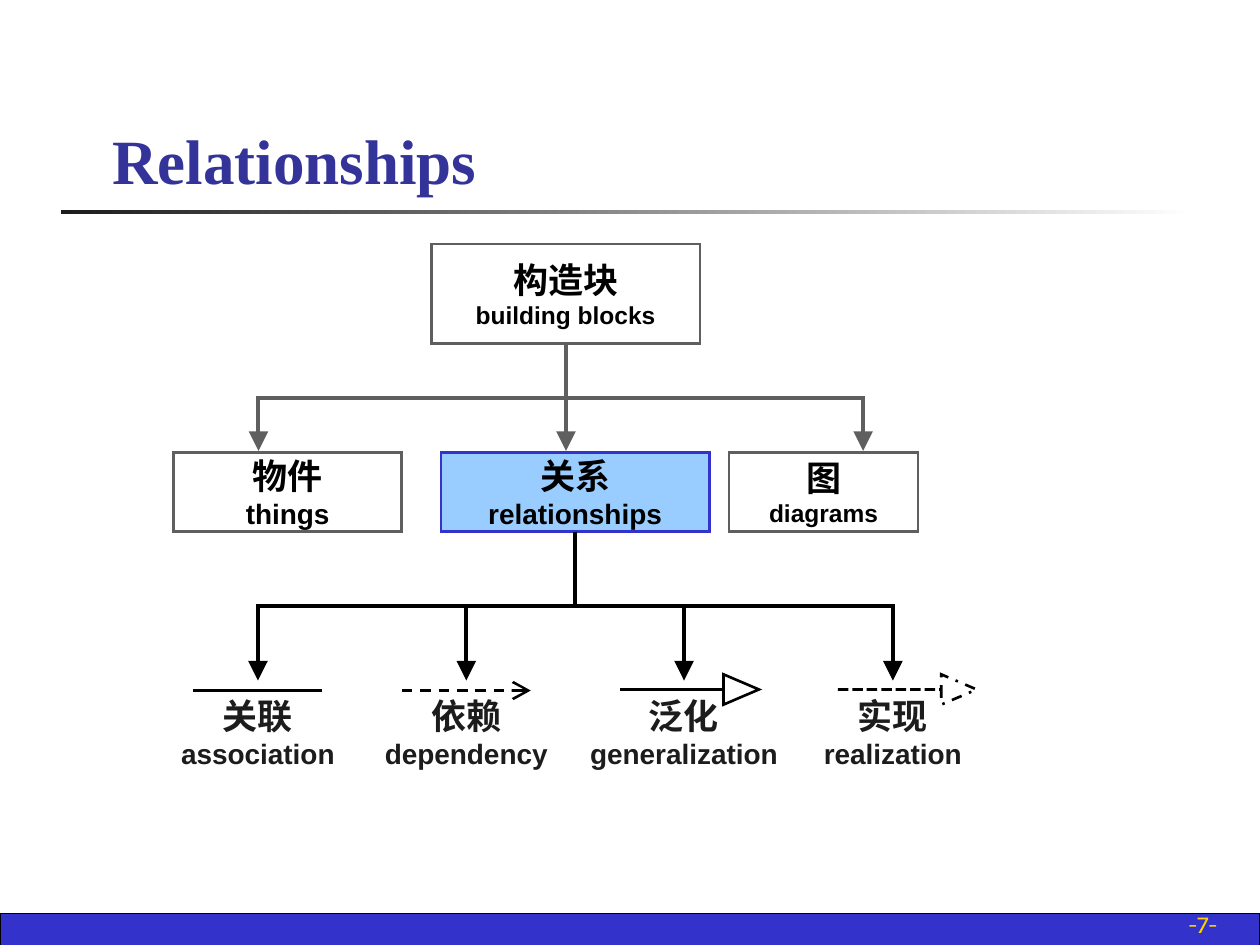
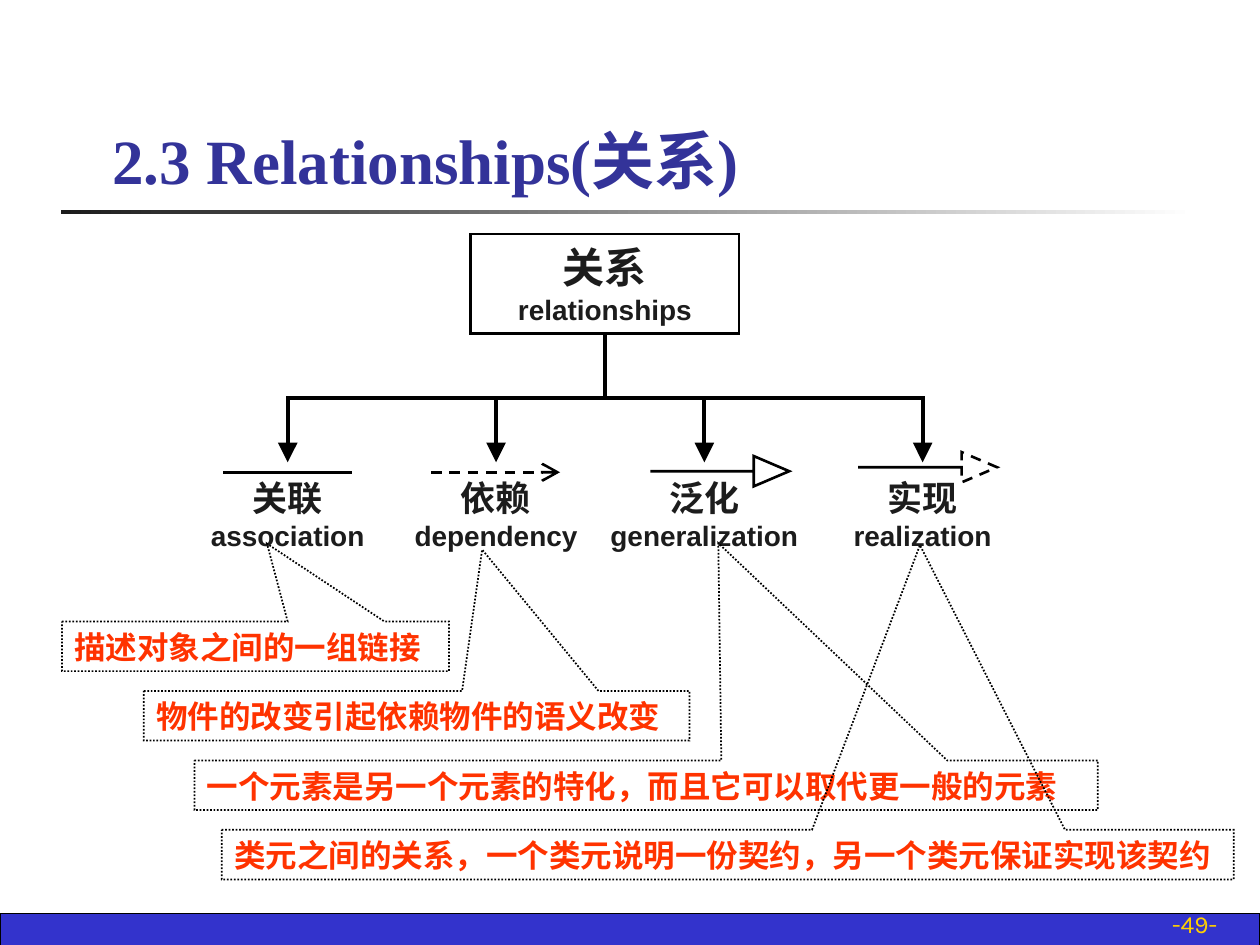
from dataclasses import dataclass
from enum import Enum
from typing import NamedTuple, Optional

from lxml import etree
from pptx import Presentation
from pptx import util as u
from pptx.dml.color import RGBColor
from pptx.enum import dml, shapes, text
from pptx.oxml import ns

BLACK = RGBColor(0x00, 0x00, 0x00)
INK = RGBColor(0x1C, 0x1C, 0x1C)
WHITE = RGBColor(0xFF, 0xFF, 0xFF)
GREY = RGBColor(0x5F, 0x5F, 0x5F)
BLUE = RGBColor(0x33, 0x33, 0xCC)
SKY = RGBColor(0x99, 0xCC, 0xFF)
TITLE_BLUE = RGBColor(0x33, 0x33, 0x99)
GOLD = RGBColor(0xFF, 0xCF, 0x01)
RED = RGBColor(0xFF, 0x33, 0x00)

CENTRE = text.PP_ALIGN.CENTER
DASH = dml.MSO_LINE.DASH
LINE_LENGTH = 2.6
ARROW_LENGTH = 2.8
ARROW_HEIGHT = 0.61
LABEL_WIDTH = 4.6


class Symbol(Enum):
    LINE = 1
    OPEN_ARROW = 2
    HOLLOW_ARROW = 3
    DASHED_HOLLOW_ARROW = 4


class Point(NamedTuple):
    x: float
    y: float


class Area(NamedTuple):
    left: float
    top: float
    width: float
    height: float


class Relation(NamedTuple):
    chinese: str
    english: str
    symbol: Symbol


class Branch(NamedTuple):
    centre: float
    symbol_left: float
    symbol_y: float


class Callout(NamedTuple):
    words: str
    left: float
    width: float
    pointer: tuple[float, float]


@dataclass(frozen=True)
class Block:
    chinese: str
    english: str
    area: Area
    outline: RGBColor = GREY
    fill: Optional[RGBColor] = None
    ink: RGBColor = BLACK
    chinese_size: int = 20
    english_size: int = 16


RELATIONS = [
    Relation("关联", "association", Symbol.LINE),
    Relation("依赖", "dependency", Symbol.OPEN_ARROW),
    Relation("泛化", "generalization", Symbol.HOLLOW_ARROW),
    Relation("实现", "realization", Symbol.DASHED_HOLLOW_ARROW),
]

BUILDING_BLOCKS = [
    Block("构造块", "building blocks", Area(8.7, 4.92, 5.41, 2.01), english_size=14),
    Block("物件", "things", Area(3.5, 9.12, 4.6, 1.6)),
    Block("关系", "relationships", Area(8.89, 9.12, 5.41, 1.6), BLUE, SKY),
    Block("图", "diagrams", Area(14.7, 9.12, 3.81, 1.6), english_size=14),
]
RELATIONSHIPS = Block("关系", "relationships", Area(9.49, 4.72, 5.41, 2.01),
                      BLACK, ink=INK, chinese_size=24)

OVERVIEW_BRANCHES = [
    Branch(5.2, 3.89, 13.92),
    Branch(9.4, 8.1, 13.92),
    Branch(13.79, 12.5, 13.9),
    Branch(18, 16.89, 13.9),
]
DETAIL_BRANCHES = [
    Branch(5.8, 4.5, 9.52),
    Branch(10, 8.69, 9.52),
    Branch(14.2, 13.11, 9.5),
    Branch(18.6, 17.3, 9.42),
]

CALLOUTS = [
    Callout("描述对象之间的一组链接", 1.25, 7.8, (0.03, -2.07)),
    Callout("物件的改变引起依赖物件的语义改变", 2.9, 11, (0.12, -3.35)),
    Callout("一个元素是另一个元素的特化，而且它可以取代更一般的元素",
            3.92, 18.21, (0.08, -4.88)),
    Callout("类元之间的关系，一个类元说明一份契约，另一个类元保证实现该契约",
            4.47, 20.4, (0.19, -6.24)),
]
CALLOUT_TOP, CALLOUT_STEP, CALLOUT_HEIGHT = 12.53, 1.4, 1


def lengths(values) -> list:
    return [u.Cm(value) for value in values]


def style(para, size: int, colour: RGBColor, name: str = "Arial",
          bold: bool = True, align=None) -> None:
    para.font.name = name
    para.font.size = u.Pt(size)
    para.font.bold = bold
    para.font.color.rgb = colour
    para.alignment = align


def draw_stroke(shape, colour: RGBColor, width: float, dash=None,
                head: Optional[str] = None) -> None:
    shape.line.color.rgb = colour
    shape.line.width = u.Pt(width)
    if dash is not None:
        shape.line.dash_style = dash
    stroke = shape.element.spPr.find(ns.qn("a:ln"))
    etree.SubElement(stroke, ns.qn("a:miter"), lim="800000")
    if head:
        etree.SubElement(stroke, ns.qn("a:tailEnd"), type=head, w="lg", len="lg")


def add_outline(page, kind, area: Area, outline: Optional[RGBColor] = BLACK,
                width: float = 1.5, fill: Optional[RGBColor] = None, dash=None):
    box = page.shapes.add_shape(kind, *lengths(area))
    box.shadow.inherit = False
    if fill is None:
        box.fill.background()
    else:
        box.fill.solid()
        box.fill.fore_color.rgb = fill
    if outline is None:
        box.line.fill.background()
    else:
        draw_stroke(box, outline, width, dash)
    return box


def add_line(page, start: Point, end: Point, colour: RGBColor = BLACK,
             width: float = 2.25, head: Optional[str] = None, dash=None,
             kind=shapes.MSO_CONNECTOR.STRAIGHT):
    line = page.shapes.add_connector(kind, *lengths(start), *lengths(end))
    draw_stroke(line, colour, width, dash, head)
    etree.SubElement(line.element.spPr, ns.qn("a:effectLst"))
    return line


def add_elbow(page, start: Point, end: Point, colour: RGBColor = BLACK) -> None:
    middle = Point((start.x + end.x) / 2, (start.y + end.y) / 2)
    to_right = end.x > start.x
    reach = (end.y - start.y) / 2 * (-1 if to_right else 1)
    rise = abs(end.x - start.x) / 2
    elbow = add_line(page, Point(middle.x - reach, middle.y - rise),
                     Point(middle.x + reach, middle.y + rise), colour,
                     head="triangle", kind=shapes.MSO_CONNECTOR.ELBOW)
    frame = elbow.element.spPr.find(ns.qn("a:xfrm"))
    frame.set("rot", str((270 if to_right else 90) * 60000))


def write_pair(box, chinese: str, english: str, ink: RGBColor,
               chinese_size: int = 20, english_size: int = 16) -> None:
    frame = box.text_frame
    frame.word_wrap = False
    frame.vertical_anchor = text.MSO_ANCHOR.MIDDLE
    frame.text = f"{chinese}\n{english}"
    for para, size in zip(frame.paragraphs, (chinese_size, english_size)):
        style(para, size, ink, align=CENTRE)


def add_block(page, block: Block) -> None:
    box = add_outline(page, shapes.MSO_SHAPE.RECTANGLE, block.area,
                      block.outline, fill=block.fill)
    write_pair(box, block.chinese, block.english, block.ink,
               block.chinese_size, block.english_size)


def add_symbol(page, symbol: Symbol, branch: Branch, hollow_dash) -> None:
    start = Point(branch.symbol_left, branch.symbol_y)
    if symbol in (Symbol.LINE, Symbol.OPEN_ARROW):
        is_arrow = symbol is Symbol.OPEN_ARROW
        add_line(page, start, Point(start.x + LINE_LENGTH, start.y), width=1.5,
                 head="arrow" if is_arrow else None, dash=DASH if is_arrow else None)
        return
    area = Area(start.x, start.y - ARROW_HEIGHT / 2, ARROW_LENGTH, ARROW_HEIGHT)
    dash = hollow_dash if symbol is Symbol.DASHED_HOLLOW_ARROW else None
    arrow = add_outline(page, shapes.MSO_SHAPE.RIGHT_ARROW, area, dash=dash)
    arrow.adjustments[0] = 0
    arrow.adjustments[1] = 1.17


def add_relations(page, stem: Point, tip_y: float, branches: list[Branch],
                  hollow_dash) -> None:
    for relation, branch in zip(RELATIONS, branches):
        add_elbow(page, stem, Point(branch.centre, tip_y))
        add_symbol(page, relation.symbol, branch, hollow_dash)
        label = page.shapes.add_textbox(*lengths(
            Area(branch.centre - LABEL_WIDTH / 2, tip_y + 0.44, LABEL_WIDTH, 1.2)))
        write_pair(label, relation.chinese, relation.english, INK)


def add_callout(page, callout: Callout, top: float) -> None:
    box = add_outline(page, shapes.MSO_SHAPE.RECTANGULAR_CALLOUT,
                      Area(callout.left, top, callout.width, CALLOUT_HEIGHT),
                      width=1, dash=dml.MSO_LINE.ROUND_DOT)
    box.adjustments[0], box.adjustments[1] = callout.pointer
    frame = box.text_frame
    frame.word_wrap = True
    frame.vertical_anchor = text.MSO_ANCHOR.TOP
    frame.text = callout.words
    style(frame.paragraphs[0], 18, RED, align=text.PP_ALIGN.LEFT)


def add_page(deck, heading: str, number: int):
    page = deck.slides.add_slide(deck.slide_layouts[5])
    add_outline(page, shapes.MSO_SHAPE.RECTANGLE, Area(0, 18.42, 25.4, 0.64),
                width=0.75, fill=BLUE)
    rule = add_outline(page, shapes.MSO_SHAPE.RECTANGLE,
                       Area(1.23, 4.24, 22.86, 0.08), outline=None)
    rule.fill.gradient()
    rule.fill.gradient_angle = 0
    for stop, colour, position in zip(rule.fill.gradient_stops, (INK, WHITE), (0, 1)):
        stop.color.rgb = colour
        stop.position = position

    title = page.shapes.title
    title.left, title.top, title.width, title.height = lengths((2.01, 0.93, 21.64, 3.18))
    footer = page.shapes.add_textbox(*lengths((19.5, 18.2, 5.29, 0.85)))
    for box, words in ((title, heading), (footer, f"-{number}-")):
        box.text_frame.text = words
        box.text_frame.word_wrap = True
        box.text_frame.auto_size = text.MSO_AUTO_SIZE.NONE
        box.text_frame.vertical_anchor = text.MSO_ANCHOR.BOTTOM
    style(title.text_frame.paragraphs[0], 36, TITLE_BLUE, "Times New Roman",
          align=text.PP_ALIGN.LEFT)
    style(footer.text_frame.paragraphs[0], 14, GOLD, "Karla", False,
          text.PP_ALIGN.RIGHT)
    return page


def build_overview(deck) -> None:
    page = add_page(deck, "Relationships", 7)
    for block in BUILDING_BLOCKS:
        add_block(page, block)
    root = Point(11.41, 6.96)
    for x in (5.21, 17.4):
        add_elbow(page, root, Point(x, 9.09), GREY)
    add_line(page, root, Point(root.x, 9.09), GREY, head="triangle")
    add_relations(page, Point(11.59, 10.72), 13.72, OVERVIEW_BRANCHES,
                  dml.MSO_LINE.DASH_DOT)


def build_detail(deck) -> None:
    page = add_page(deck, "2.3 Relationships(关系)", 49)
    add_block(page, RELATIONSHIPS)
    add_relations(page, Point(12.19, 6.74), 9.32, DETAIL_BRANCHES, DASH)
    for row, callout in enumerate(CALLOUTS):
        add_callout(page, callout, CALLOUT_TOP + row * CALLOUT_STEP)


def main() -> None:
    deck = Presentation()
    deck.slide_width, deck.slide_height = u.Cm(25.4), u.Cm(19.05)
    build_overview(deck)
    build_detail(deck)
    deck.save("out.pptx")


if __name__ == "__main__":
    main()
